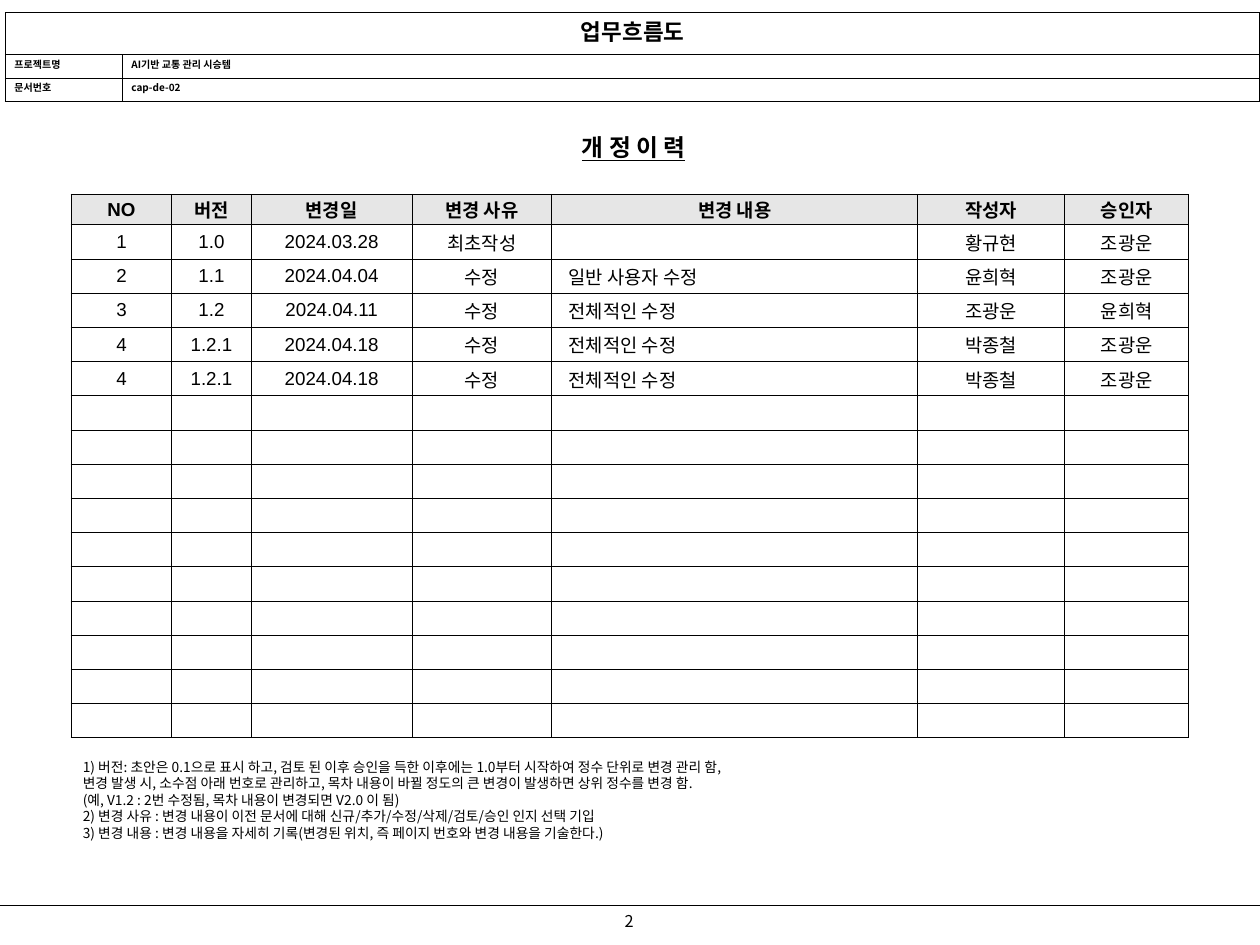
from lxml.etree import SubElement
from pptx import Presentation
from pptx.dml.color import RGBColor
from pptx.enum.shapes import MSO_CONNECTOR as Connector
from pptx.enum.text import MSO_ANCHOR as Anchor, MSO_AUTO_SIZE as AutoSize, PP_ALIGN as Align
from pptx.oxml.ns import qn
from pptx.util import Inches, Pt

BLACK = RGBColor(0x00, 0x00, 0x00)
WHITE = RGBColor(0xFF, 0xFF, 0xFF)
HEADING_GRAY = RGBColor(0xE6, 0xE6, 0xE6)
KOREAN_FONT = "Noto Sans CJK KR"
LATIN_FONT = "Arial"


class DocumentPage:
    """Holds the slide and the style shared by its elements."""

    line_width = Pt(1)

    def __init__(self, slide):
        self.slide = slide

    def add_run(self, paragraph, text, size, font=KOREAN_FONT, bold=False, underline=False):
        run = paragraph.add_run()
        run.text = text
        run.font.name = font
        run.font.size = Pt(size)
        run.font.bold = bold
        run.font.underline = underline
        run.font.color.rgb = BLACK
        SubElement(run.font._element, qn("a:ea"), typeface=KOREAN_FONT)

    def text(self, box, lines, size, align=Align.LEFT, anchor=Anchor.TOP,
             wrap=True, spacing=None, **style):
        frame = self.slide.shapes.add_textbox(*map(Inches, box)).text_frame
        frame.word_wrap = wrap
        frame.auto_size = AutoSize.SHAPE_TO_FIT_TEXT
        frame.vertical_anchor = anchor
        frame.margin_left = frame.margin_right = Inches(0.13)
        frame.margin_top = frame.margin_bottom = Inches(0.07)
        for index, line in enumerate(lines):
            paragraph = frame.add_paragraph() if index else frame.paragraphs[0]
            paragraph.alignment = align
            paragraph.line_spacing = spacing
            self.add_run(paragraph, line, size, **style)

    def line(self, start, end):
        connector = self.slide.shapes.add_connector(
            Connector.STRAIGHT, *map(Inches, start + end))
        connector.line.color.rgb = BLACK
        connector.line.width = self.line_width
        SubElement(connector._element.spPr, qn("a:effectLst"))

    def table(self, left, top, widths, heights):
        table = self.slide.shapes.add_table(
            len(heights), len(widths), Inches(left), Inches(top),
            Inches(sum(widths)), Inches(sum(heights))).table
        table.first_row = table.horz_banding = False
        for column, width in zip(table.columns, widths):
            column.width = Inches(width)
        for row, height in zip(table.rows, heights):
            row.height = Inches(height)
        return table

    def cell(self, cell, text, size, fill=None, margins=(0.09, 0), align=Align.CENTER,
             anchor=Anchor.MIDDLE, indent=None, **style):
        cell.margin_left = cell.margin_right = Inches(margins[0])
        cell.margin_top = cell.margin_bottom = Inches(margins[1])
        cell.vertical_anchor = anchor
        self.borders(cell)
        if fill is None:
            cell.fill.background()
        else:
            cell.fill.solid()
            cell.fill.fore_color.rgb = fill
        paragraph = cell.text_frame.paragraphs[0]
        paragraph.alignment = align
        if indent:
            properties = paragraph._p.get_or_add_pPr()
            for name, length in zip(("marL", "indent"), indent):
                properties.set(name, str(Inches(length)))
        if text:
            self.add_run(paragraph, text, size, **style)

    def borders(self, cell):
        properties = cell._tc.get_or_add_tcPr()
        for side in ("lnL", "lnR", "lnT", "lnB"):
            border = SubElement(properties, qn(f"a:{side}"), w=str(self.line_width))
            fill = SubElement(border, qn("a:solidFill"))
            SubElement(fill, qn("a:srgbClr"), val=str(BLACK))


REVISION_HEADINGS = ("NO", "버전", "변경일", "변경 사유", "변경 내용", "작성자", "승인자")
REVISIONS = [
    ("1", "1.0", "2024.03.28", "최초작성", "", "황규현", "조광운"),
    ("2", "1.1", "2024.04.04", "수정", "일반 사용자 수정", "윤희혁", "조광운"),
    ("3", "1.2", "2024.04.11", "수정", "전체적인 수정", "조광운", "윤희혁"),
    ("4", "1.2.1", "2024.04.18", "수정", "전체적인 수정", "박종철", "조광운"),
    ("4", "1.2.1", "2024.04.18", "수정", "전체적인 수정", "박종철", "조광운"),
]
EMPTY_ROWS = 10
DETAIL_COLUMN = REVISION_HEADINGS.index("변경 내용")
GUIDELINES = [
    "1) 버전: 초안은 0.1으로 표시 하고, 검토 된 이후 승인을 득한 이후에는 1.0부터 시작하여 정수 단위로 변경 관리 함,",
    "변경 발생 시, 소수점 아래 번호로 관리하고, 목차 내용이 바뀔 정도의 큰 변경이 발생하면 상위 정수를 변경 함.",
    "(예, V1.2 : 2번 수정됨, 목차 내용이 변경되면 V2.0 이 됨)",
    "2) 변경 사유 : 변경 내용이 이전 문서에 대해 신규/추가/수정/삭제/검토/승인 인지 선택 기입",
    "3) 변경 내용 : 변경 내용을 자세히 기록(변경된 위치, 즉 페이지 번호와 변경 내용을 기술한다.)",
]
DOCUMENT_INFO = [("프로젝트명", "AI기반 교통 관리 시승템"), ("문서번호", "cap-de-02")]


def main():
    presentation = Presentation()
    presentation.slide_width = Inches(14)
    presentation.slide_height = Inches(10.5)
    page = DocumentPage(presentation.slides.add_slide(presentation.slide_layouts[6]))

    # Footer
    page.text((6.72, 10.06, 0.54, 0.35), ["2"], 13, align=Align.CENTER, wrap=False)
    page.line((0, 10.06), (14, 10.06))

    # Page title
    page.text((5.82, 1.4, 2.44, 0.47), ["개 정 이 력"], 19, align=Align.CENTER,
              anchor=Anchor.MIDDLE, bold=True, underline=True)

    # Revision history
    rows = [REVISION_HEADINGS, *REVISIONS] + [("",) * len(REVISION_HEADINGS)] * EMPTY_ROWS
    history = page.table(0.79, 2.16, (1.12, 0.88, 1.79, 1.55, 4.07, 1.63, 1.38),
                         [0.34] + [0.38] * (len(rows) - 1))
    for row, entries in enumerate(rows):
        heading = row == 0
        for column, entry in enumerate(entries):
            detail = column == DETAIL_COLUMN and not heading
            page.cell(history.cell(row, column), entry, 15, font=LATIN_FONT, bold=heading,
                      fill=HEADING_GRAY if heading else None,
                      align=Align.LEFT if detail else Align.CENTER,
                      indent=(0.61, -0.51 if detail else -0.66))

    # Guidelines for the columns
    page.text((0.79, 8.36, 12.42, 1.06), GUIDELINES, 11, spacing=Pt(13.2))

    # Document header
    header = page.table(0.06, 0.14, (1.3, 12.64), (0.47, 0.26, 0.26))
    header_style = dict(fill=WHITE, margins=(0.1, 0.02), anchor=Anchor.TOP, bold=True)
    header.cell(0, 0).merge(header.cell(0, 1))
    page.cell(header.cell(0, 0), "업무흐름도", 18, **header_style)
    page.cell(header.cell(0, 1), "", 18, **header_style)
    for row, entries in enumerate(DOCUMENT_INFO, start=1):
        for column, entry in enumerate(entries):
            page.cell(header.cell(row, column), entry, 8, align=Align.LEFT, **header_style)

    presentation.save("out.pptx")


if __name__ == "__main__":
    main()
